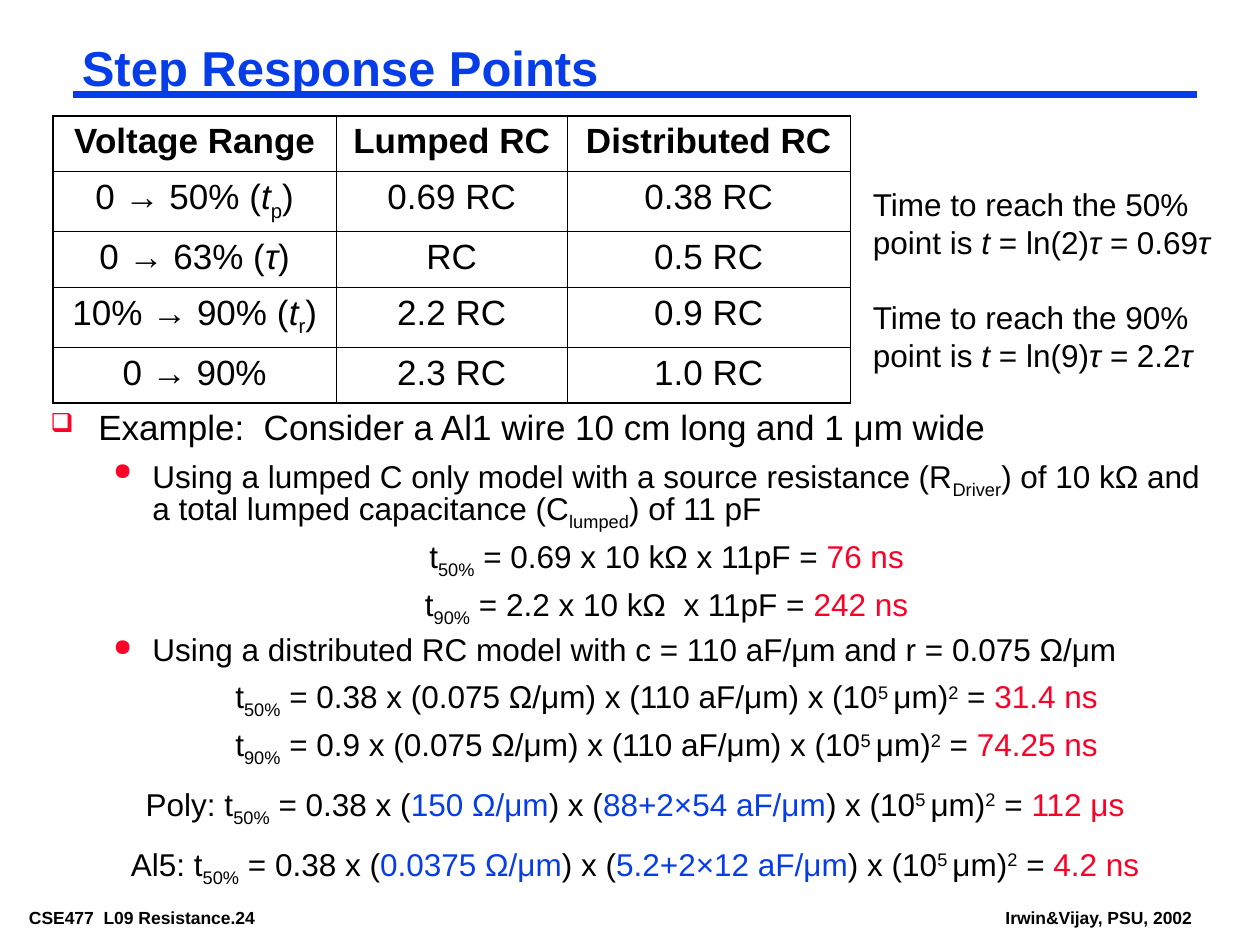
from dataclasses import dataclass

from lxml.etree import SubElement
from pptx import Presentation
from pptx.dml.color import RGBColor
from pptx.enum.shapes import MSO_CONNECTOR
from pptx.enum.text import PP_ALIGN
from pptx.oxml.ns import qn
from pptx.util import Inches, Pt


@dataclass(frozen=True)
class Theme:
    font: str = "Arial"
    black: str = "000000"
    blue: str = "063DE8"
    red: str = "FC0128"
    title: int = 28
    large: int = 20
    body: int = 18
    foot: int = 10
    thin: float = 0.45
    thick: float = 1.08


@dataclass(frozen=True)
class Level:
    left: float
    hang: float
    line: float
    space: float
    mark: str


TOP = Level(0.38, -0.38, 0.8, 14.6, "❑")
SUB = Level(0.81, -0.31, 0.75, 9, "●")
SMALL = (0.07, 0.03)
WIDE = (0.1, 0.05)


class Deck:
    def __init__(self, slide, theme):
        self.slide = slide
        self.theme = theme

    def style(self, para, text, size, bold=False):
        """Split text at | into runs; a first _ ^ / # ! means sub, super, italic, blue, red."""
        look = self.theme
        tints = {"#": look.blue, "!": look.red}
        for part in text.split("|"):
            sign = part[0] if part[0] in "_^/#!" else ""
            run = para.add_run()
            run.text = part[len(sign):]
            font = run.font
            font.name, font.size, font.bold = look.font, Pt(size), bold
            font.italic = sign == "/"
            font.color.rgb = RGBColor.from_string(tints.get(sign, look.black))
            if sign in ("_", "^"):
                font._element.set("baseline", "-25000" if sign == "_" else "30000")

    def box(self, x, y, w, h, pad=SMALL):
        frame = self.slide.shapes.add_textbox(
            Inches(x), Inches(y), Inches(w), Inches(h)).text_frame
        frame.word_wrap = True
        frame.margin_left = frame.margin_right = Inches(pad[0])
        frame.margin_top = frame.margin_bottom = Inches(pad[1])
        return frame

    def title(self, text, x, y, w, h):
        para = self.box(x, y, w, h).paragraphs[0]
        para.line_spacing = 0.87
        self.style(para, "#" + text, self.theme.title, True)

    def foot(self, text, x, w):
        para = self.box(x, 7.17, w, 0.22).paragraphs[0]
        self.style(para, text, self.theme.foot, True)

    def rule(self, x, y, end, width):
        line = self.slide.shapes.add_connector(
            MSO_CONNECTOR.STRAIGHT, Inches(x), Inches(y), Inches(end), Inches(y))
        line.line.color.rgb = RGBColor.from_string(self.theme.blue)
        line.line.width = Pt(width)
        SubElement(line._element.spPr, qn("a:effectLst"))

    def remarks(self, texts, x, y, w, h, gap):
        frame = self.box(x, y, w, h, WIDE)
        for i, text in enumerate(texts):
            para = frame.add_paragraph() if i else frame.paragraphs[0]
            if i:
                para.space_before = Pt(gap)
            self.style(para, text, self.theme.body)

    def edge(self, cell, side, width):
        line = SubElement(cell._tc.get_or_add_tcPr(), qn("a:ln" + side), w=str(Pt(width)))
        fill = SubElement(line, qn("a:solidFill"))
        SubElement(fill, qn("a:srgbClr"), val=self.theme.black)

    def table(self, rows, x, y, cols, highs):
        look = self.theme
        grid = self.slide.shapes.add_table(
            len(rows), len(cols), Inches(x), Inches(y),
            Inches(sum(cols)), Inches(sum(highs))).table
        grid.first_row = grid.horz_banding = False
        for col, width in zip(grid.columns, cols):
            col.width = Inches(width)
        for row, high in zip(grid.rows, highs):
            row.height = Inches(high)
        for i, row in enumerate(rows):
            for j, text in enumerate(row):
                cell = grid.cell(i, j)
                para = cell.text_frame.paragraphs[0]
                para.alignment = PP_ALIGN.CENTER
                self.style(para, text, look.large, bold=i == 0)
                heavy = {"L": j == 0, "R": j == len(cols) - 1,
                         "T": i < 2, "B": i in (0, len(rows) - 1)}
                for side, thick in heavy.items():
                    self.edge(cell, side, look.thick if thick else look.thin)
                cell.fill.background()

    def bullet(self, props, mark):
        color = SubElement(props, qn("a:buClr"))
        SubElement(color, qn("a:srgbClr"), val=self.theme.red)
        SubElement(props, qn("a:buSzPct"), val="75000")
        SubElement(props, qn("a:buChar"), char=mark)

    def outline(self, items, x, y, w, h):
        """Each item is a level, whether it has a bullet, and its text."""
        frame = self.box(x, y, w, h)
        for i, (level, marked, text) in enumerate(items):
            para = frame.add_paragraph() if i else frame.paragraphs[0]
            para.line_spacing = level.line
            if i:
                para.space_before = Pt(level.space)
            props = para._p.get_or_add_pPr()
            props.set("marL", str(Inches(level.left)))
            props.set("indent", str(Inches(level.hang)))
            if marked:
                self.bullet(props, level.mark)
            else:
                para.alignment = PP_ALIGN.CENTER
            self.style(para, text, self.theme.body if i else self.theme.large)


def delay(point, rate, res, cap, time, lead=""):
    return (f"{lead}t|_{point}%| = {rate} x (|{res} Ω/μm|) x (|{cap} aF/μm|)"
            f" x (10|^5 |μm)|^2| = |!{time}")


def main():
    show = Presentation()
    show.slide_width, show.slide_height = Inches(10), Inches(7.5)
    deck = Deck(show.slides.add_slide(show.slide_layouts[6]), Theme())

    deck.foot("CSE477  L09 Resistance.24", 0.16, 2.45)
    deck.foot("Irwin&Vijay, PSU, 2002", 7.91, 1.75)
    deck.rule(0.58, 0.75, 9.5, 4.5)
    deck.title("Step Response Points", 0.58, 0.33, 8.92, 0.46)

    deck.table([
        ("Voltage Range", "Lumped RC", "Distributed RC"),
        ("0 → 50% (|/t|_p|)", "0.69 RC", "0.38 RC"),
        ("0 → 63% (|/τ|)", "RC", "0.5 RC"),
        ("10% → 90% (|/t|_r|)", "2.2 RC", "0.9 RC"),
        ("0 → 90%", "2.3 RC", "1.0 RC"),
    ], 0.42, 0.92, (2.25, 1.83, 2.25), (0.44, 0.48, 0.44, 0.48, 0.44))

    facts = ((50, 2, "0.69"), (90, 9, "2.2"))
    deck.remarks([f"Time to reach the {part}% point is |/t| = ln({arg})|/τ = |{rate}|/τ"
                  for part, arg, rate in facts], 6.83, 1.42, 3.17, 1.6, 21.5)

    deck.outline([
        (TOP, True, "Example:  Consider a Al1 wire 10 cm long and 1 μm wide"),
        (SUB, True, "Using a lumped C only model with a source resistance (R|_Driver|) "
                    "of 10 kΩ and a total lumped capacitance (C|_lumped|) of 11 pF"),
        (SUB, False, "t|_50%| = 0.69 x 10 kΩ x 11pF = |!76 ns"),
        (SUB, False, "t|_90%| = 2.2 x 10 kΩ  x 11pF = |!242 ns"),
        (SUB, True, "Using a distributed RC model with c = 110 aF/μm and r = 0.075 Ω/μm"),
        (SUB, False, delay(50, "0.38", "0.075", "110", "31.4 ns")),
        (SUB, False, delay(90, "0.9", "0.075", "110", "74.25 ns")),
        (TOP, False, delay(50, "0.38", "#150", "#88+2×54", "112 μs", "Poly: ")),
        (TOP, False, delay(50, "0.38", "#0.0375", "#5.2+2×12", "4.2 ns", "Al5: ")),
    ], 0.33, 3.25, 9.42, 4.12)

    show.save("out.pptx")


if __name__ == "__main__":
    main()
